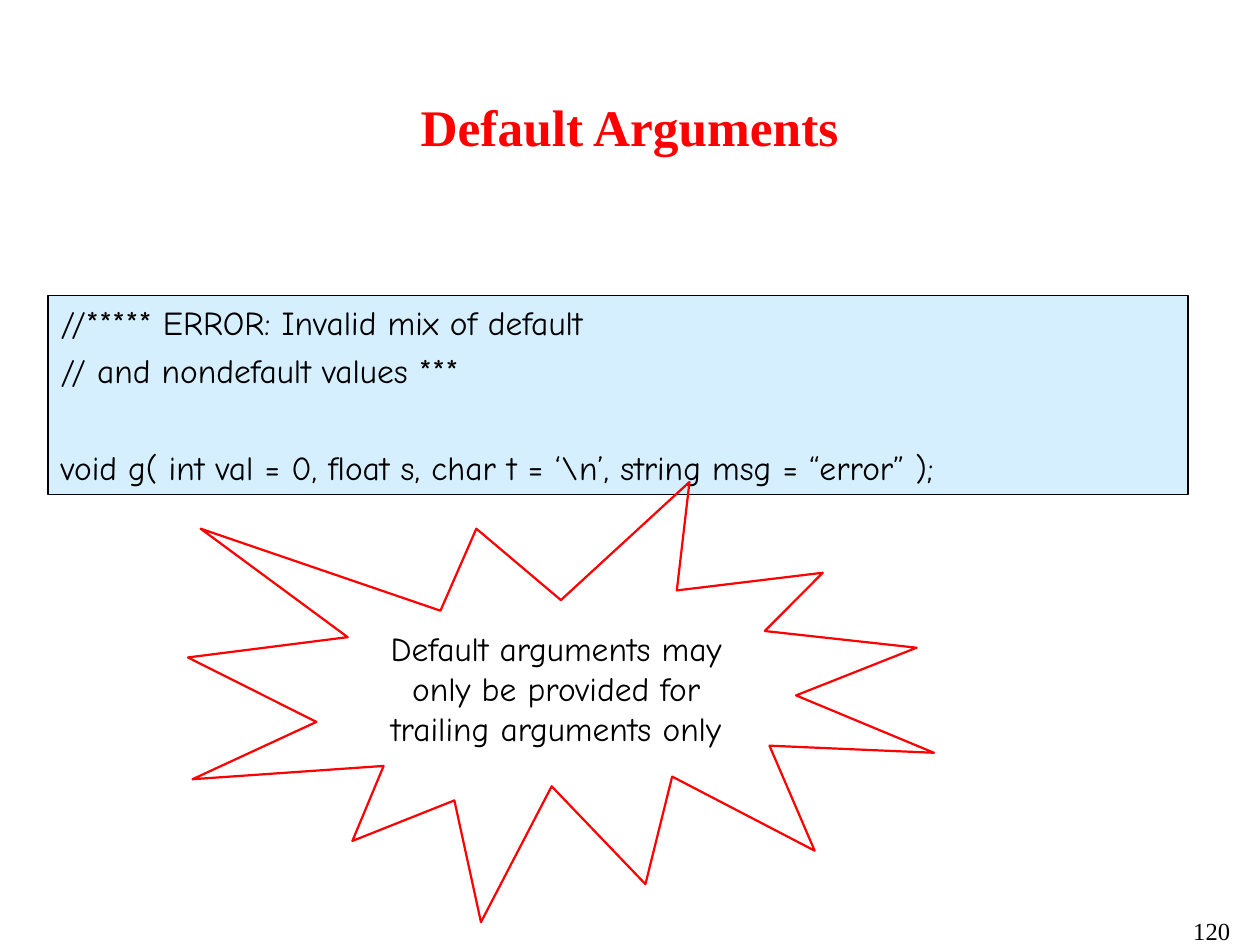
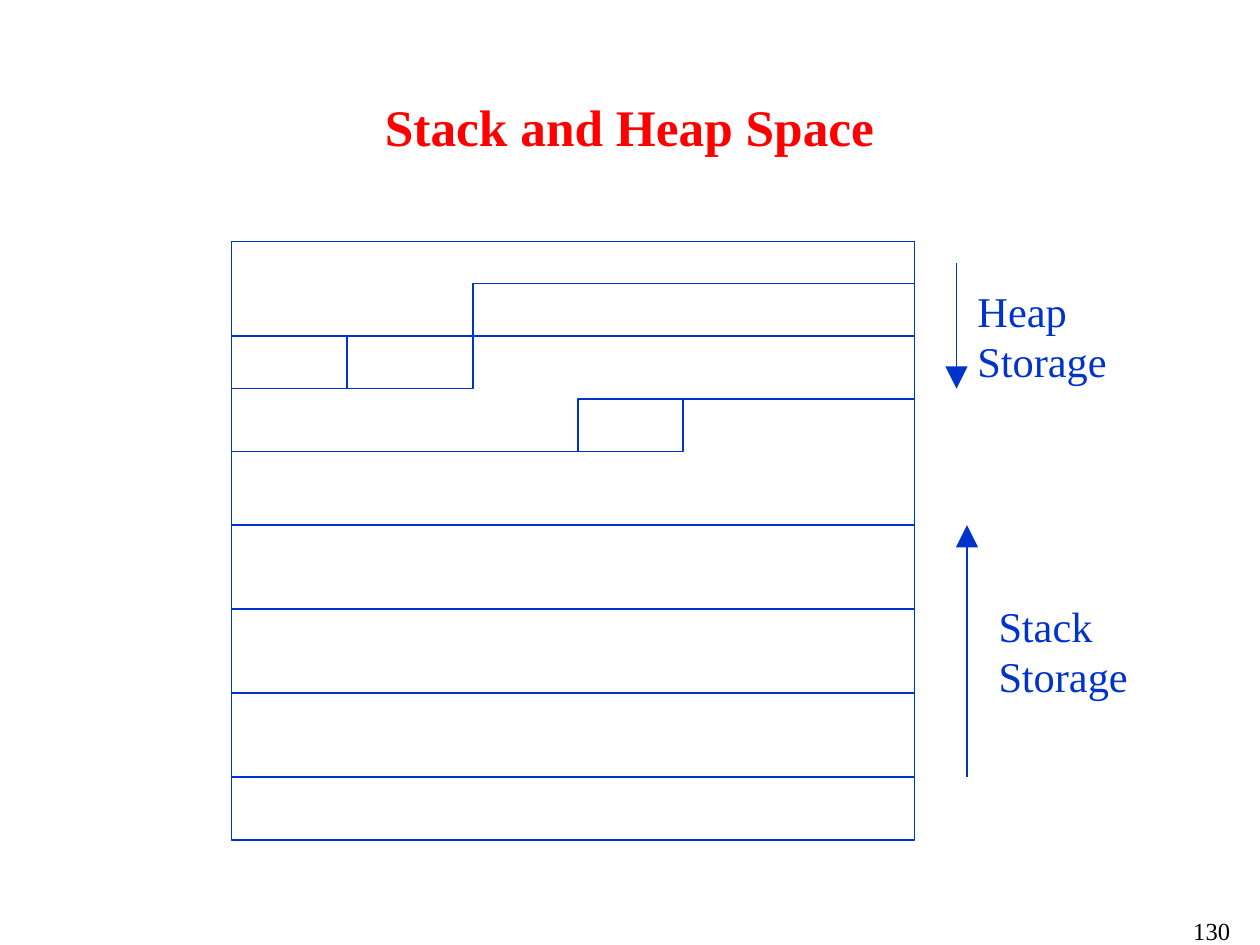
from lxml import etree
from pptx import Presentation
from pptx.dml.color import RGBColor
from pptx.enum.shapes import MSO_CONNECTOR, MSO_SHAPE
from pptx.enum.text import MSO_ANCHOR, MSO_AUTO_SIZE, PP_ALIGN
from pptx.oxml.ns import qn
from pptx.util import Cm, Pt

RECTANGLE, BURST = MSO_SHAPE.RECTANGLE, MSO_SHAPE.EXPLOSION1
STRAIGHT = MSO_CONNECTOR.STRAIGHT
TOP, MIDDLE = MSO_ANCHOR.TOP, MSO_ANCHOR.MIDDLE
LEFT, CENTER, RIGHT = PP_ALIGN.LEFT, PP_ALIGN.CENTER, PP_ALIGN.RIGHT
NO_AUTOFIT = MSO_AUTO_SIZE.NONE

COLORS = {"red": "FF0000", "blue": "0033CC", "sky": "CCECFF",
          "white": "FFFFFF", "black": "000000"}
SERIF, HAND = "Times New Roman", "Comic Neue"

# Shared boxes, in cm: left, top, width, height
PAGE_SIZE = (19.91, 14.94)
TITLE_BOX = (0.66, 1.4, 18.59, 1.17)
NUMBER_BOX = (14.66, 14.38, 4.98, 0.56)

# Memory map, in grid units from its top left corner
UNIT = 0.166
MAP_SIZE = (65, 57)
STACK_FRAMES = [(0, 27 + 8 * row, 65, 8) for row in range(3)]
HEAP_BLOCKS = [(23, 4, 42, 5), (0, 9, 11, 5), (11, 9, 12, 5), (33, 15, 10, 5)]
HEAP_EDGES = [(0, 20, 33, 20), (43, 15, 65, 15)]
GROWTH_ARROWS = [(69, 2, 69, 14), (70, 51, 70, 27)]
STORAGE_LABELS = [("Heap", 69.8, 3.5), ("Stack", 71.8, 33.5)]


def rgb(name):
    return RGBColor.from_string(COLORS[name])


def lengths(values):
    return [Cm(value) for value in values]


def write(shape, lines, *, size, font=SERIF, color="black", bold=False,
          align=LEFT, anchor=TOP, gaps=(), wrap=True, inset=(0.2, 0.1)):
    """Fill a shape with paragraphs; gaps holds the space before each one."""
    frame = shape.text_frame
    frame.word_wrap = wrap
    frame.auto_size = NO_AUTOFIT
    frame.vertical_anchor = anchor
    frame.margin_left = frame.margin_right = Cm(inset[0])
    frame.margin_top = frame.margin_bottom = Cm(inset[1])
    for index, line in enumerate(lines):
        para = frame.add_paragraph() if index else frame.paragraphs[0]
        para.alignment = align
        para.space_before = Pt(gaps[index] if gaps else 0)
        span = para.add_run()
        span.text = line
        span.font.name, span.font.size, span.font.bold = font, Pt(size), bold
        span.font.color.rgb = rgb(color)


def add_box(shapes, box, *, kind=RECTANGLE, fill=None, opacity=None,
            line="blue", width=0.75):
    shape = shapes.add_shape(kind, *lengths(box))
    shape.shadow.inherit = False
    if fill:
        shape.fill.solid()
        shape.fill.fore_color.rgb = rgb(fill)
    else:
        shape.fill.background()
    if opacity:
        color = shape.element.spPr.find(qn("a:solidFill")).find(qn("a:srgbClr"))
        etree.SubElement(color, qn("a:alpha"), val=str(opacity * 1000))
    shape.line.color.rgb = rgb(line)
    shape.line.width = Pt(width)
    return shape


def add_line(shapes, ends, *, arrow=False):
    line = shapes.add_connector(STRAIGHT, *lengths(ends))
    line.line.color.rgb = rgb("blue")
    line.line.width = Pt(0.75)
    properties = line.element.spPr
    if arrow:
        etree.SubElement(properties.find(qn("a:ln")), qn("a:tailEnd"),
                         type="triangle", w="lg", len="lg")
    etree.SubElement(properties, qn("a:effectLst"))


def add_page(deck, title, number):
    page = deck.slides.add_slide(deck.slide_layouts[5])
    # Title
    heading = page.shapes.title
    heading.left, heading.top, heading.width, heading.height = lengths(TITLE_BOX)
    write(heading, [title], size=23, color="red", bold=True,
          align=CENTER, anchor=MIDDLE)
    # Page number
    write(page.shapes.add_textbox(*lengths(NUMBER_BOX)), [str(number)],
          size=11, align=RIGHT)
    return page


def draw_code(page, box):
    panel = add_box(page.shapes, box, fill="sky", opacity=80, line="black")
    write(panel, ["//***** ERROR: Invalid mix of default",
                  "// and nondefault values ***",
                  r"void g( int val = 0, float s, char t = ‘\n’, string msg = “error” );"],
          size=15, font=HAND, gaps=(0, 3.7, 25.4))


def draw_burst(page, box):
    burst = add_box(page.shapes, box, kind=BURST, line="red", width=1)
    write(burst, ["Default arguments may only be provided for trailing arguments only"],
          size=15, font=HAND, align=CENTER, anchor=MIDDLE, inset=(0.25, 0.13))


def draw_memory(page, left, top):
    def place(x, y):
        return left + x * UNIT, top + y * UNIT

    def box_at(x, y, width, height):
        return (*place(x, y), width * UNIT, height * UNIT)

    def ends_at(x1, y1, x2, y2):
        return (*place(x1, y1), *place(x2, y2))

    # Memory map
    memory = page.shapes.add_group_shape().shapes
    for block in [(0, 0, *MAP_SIZE), *STACK_FRAMES, *HEAP_BLOCKS]:
        add_box(memory, box_at(*block), fill="white")
    for edge in HEAP_EDGES:
        add_line(memory, ends_at(*edge))
    # Directions of growth
    for arrow in GROWTH_ARROWS:
        add_line(page.shapes, ends_at(*arrow), arrow=True)
    # Labels
    for name, x, y in STORAGE_LABELS:
        label = page.shapes.add_textbox(*lengths((*place(x, y), 2.44, 1.8)))
        write(label, [name, "Storage"], size=19, color="blue", wrap=False)


def main():
    deck = Presentation()
    deck.slide_width, deck.slide_height = lengths(PAGE_SIZE)

    page = add_page(deck, "Default Arguments", 120)
    draw_code(page, (0.76, 4.67, 18.01, 3.15))
    draw_burst(page, (2.97, 7.62, 11.79, 6.96))

    page = add_page(deck, "Stack and Heap Space", 130)
    draw_memory(page, 3.66, 3.82)

    deck.save("out.pptx")


if __name__ == "__main__":
    main()
